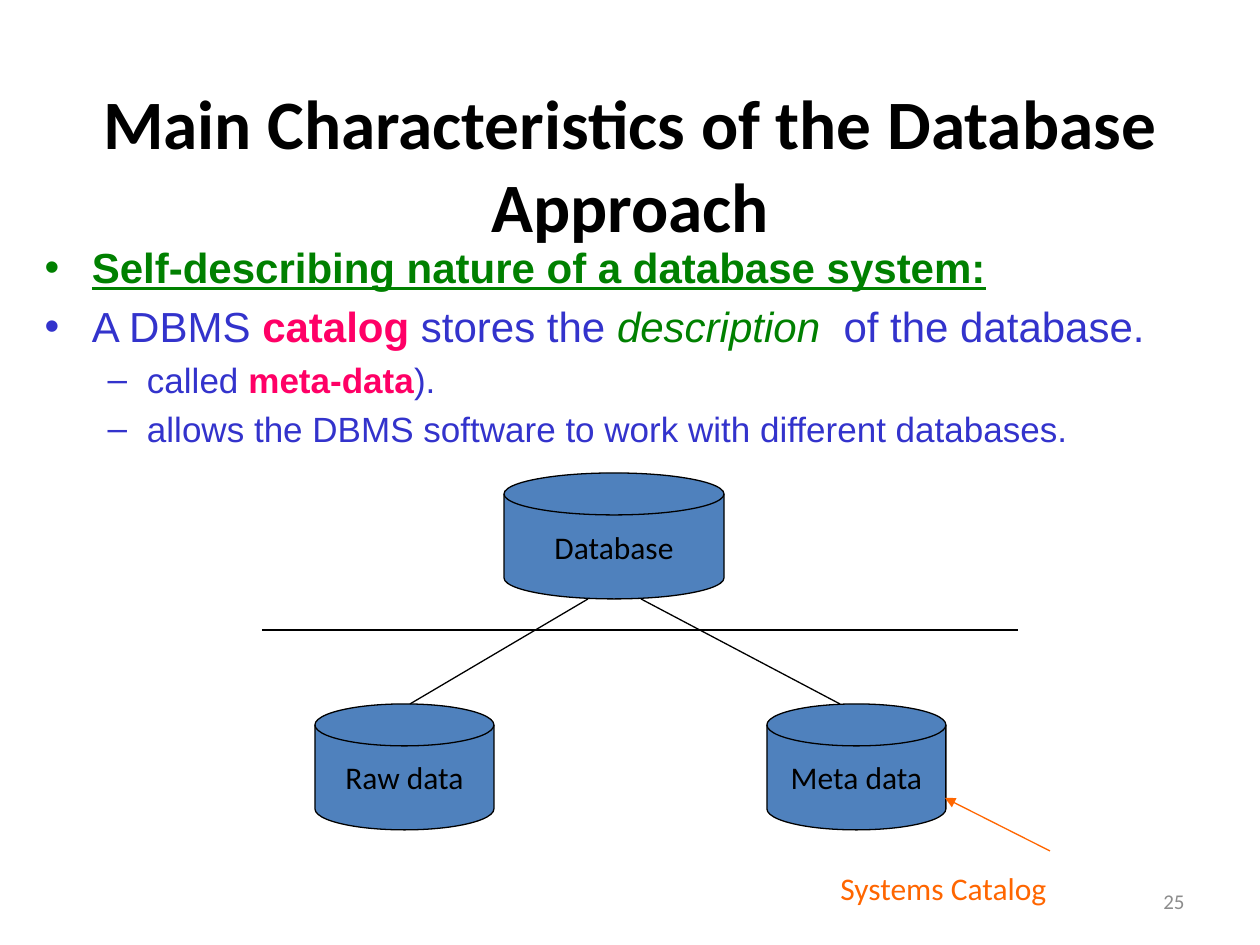
from lxml.etree import SubElement
from pptx import Presentation
from pptx.dml.color import RGBColor
from pptx.enum.shapes import MSO_CONNECTOR, MSO_SHAPE
from pptx.enum.text import MSO_ANCHOR, MSO_AUTO_SIZE, PP_ALIGN
from pptx.oxml.ns import qn
from pptx.util import Emu, Pt

PX = 914400 // 126

BLACK = RGBColor(0x00, 0x00, 0x00)
GREEN = RGBColor(0x00, 0x80, 0x00)
INDIGO = RGBColor(0x33, 0x33, 0xCC)
PINK = RGBColor(0xFF, 0x00, 0x66)
ORANGE = RGBColor(0xFF, 0x66, 0x00)
GRAY = RGBColor(0x8C, 0x8C, 0x8C)
DISK_BLUE = RGBColor(0x4F, 0x81, 0xBD)

TITLE = "Main Characteristics of the Database Approach"
TITLE_BOX = (63, 84, 1134, 158)

BULLETS_BOX = (32, 179, 1187, 665)
BULLETS_TOP_INSET = 63
LEVEL_SIZES = (24, 20)
# level, then runs of text, colour and font styles
BULLETS = [
    (0, [("Self-describing nature of a database system:", GREEN, ("bold", "underline"))]),
    (0, [("A DBMS ", INDIGO, ()),
         ("catalog ", PINK, ("bold",)),
         ("stores the ", INDIGO, ()),
         ("description  ", GREEN, ("italic",)),
         ("of the database.", INDIGO, ())]),
    (1, [("called ", INDIGO, ()),
         ("meta-data", PINK, ("bold",)),
         (").", INDIGO, ())]),
    (1, [("allows the DBMS software to work with different databases.", INDIGO, ())]),
]

DISK_HEIGHT = 126
# label, left, top, width
DISKS = [
    ("Database", 504, 473, 220),
    ("Raw data", 315, 704, 179),
    ("Meta data", 767, 704, 179),
]

# start, end, colour, whether an arrowhead sits at the end
LINES = [
    ((588, 599), (410, 704), BLACK, False),
    ((641, 599), (840, 704), BLACK, False),
    ((262, 630), (1018, 630), BLACK, False),
    ((1050, 851), (945, 798), ORANGE, True),
]

# text, box, size, colour, alignment, anchor
LABELS = [
    ("Systems Catalog", (828, 863, 307, 54), 18, ORANGE, PP_ALIGN.LEFT, MSO_ANCHOR.TOP),
    ("25", (903, 876, 294, 50), 12, GRAY, PP_ALIGN.RIGHT, MSO_ANCHOR.MIDDLE),
]


def px(*lengths):
    return [Emu(length * PX) for length in lengths]


def place(shape, box):
    shape.left, shape.top, shape.width, shape.height = px(*box)


def add_run(paragraph, text, size, color, font="Calibri", styles=()):
    run = paragraph.add_run()
    run.text = text
    run.font.name = font
    run.font.size = Pt(size)
    run.font.color.rgb = color
    for style in styles:
        setattr(run.font, style, True)


def fill_title(title):
    place(title, TITLE_BOX)
    frame = title.text_frame
    frame.auto_size = MSO_AUTO_SIZE.NONE
    frame.vertical_anchor = MSO_ANCHOR.MIDDLE
    frame.paragraphs[0].alignment = PP_ALIGN.CENTER
    add_run(frame.paragraphs[0], TITLE, 39.6, BLACK, styles=("bold",))


def fill_bullets(body):
    place(body, BULLETS_BOX)
    frame = body.text_frame
    frame.auto_size = MSO_AUTO_SIZE.NONE
    frame.margin_top = Emu(BULLETS_TOP_INSET * PX)
    for index, (level, runs) in enumerate(BULLETS):
        paragraph = frame.add_paragraph() if index else frame.paragraphs[0]
        paragraph.level = level
        for text, color, styles in runs:
            add_run(paragraph, text, LEVEL_SIZES[level], color, "Arial", styles)


def add_disk(shapes, label, left, top, width):
    disk = shapes.add_shape(MSO_SHAPE.FLOWCHART_MAGNETIC_DISK,
                            *px(left, top, width, DISK_HEIGHT))
    disk.shadow.inherit = False
    disk.fill.solid()
    disk.fill.fore_color.rgb = DISK_BLUE
    disk.line.color.rgb = BLACK
    disk.line.width = Pt(0.75)
    frame = disk.text_frame
    frame.word_wrap = False
    frame.vertical_anchor = MSO_ANCHOR.MIDDLE
    frame.paragraphs[0].alignment = PP_ALIGN.CENTER
    add_run(frame.paragraphs[0], label, 18, BLACK)


def add_line(shapes, start, end, color, has_arrowhead):
    line = shapes.add_connector(MSO_CONNECTOR.STRAIGHT, *px(*start, *end))
    line.line.color.rgb = color
    line.line.width = Pt(0.75)
    if has_arrowhead:
        SubElement(line.line._get_or_add_ln(), qn("a:tailEnd"), type="triangle")
    SubElement(line._element.spPr, qn("a:effectLst"))


def add_label(shapes, text, box, size, color, alignment, anchor):
    frame = shapes.add_textbox(*px(*box)).text_frame
    frame.word_wrap = True
    frame.vertical_anchor = anchor
    frame.paragraphs[0].alignment = alignment
    add_run(frame.paragraphs[0], text, size, color)


def main():
    deck = Presentation()
    deck.slide_width, deck.slide_height = px(1260, 945)
    title_and_content = deck.slide_layouts[1]
    slide = deck.slides.add_slide(title_and_content)
    fill_title(slide.shapes.title)
    fill_bullets(slide.placeholders[1])
    for disk in DISKS:
        add_disk(slide.shapes, *disk)
    for line in LINES:
        add_line(slide.shapes, *line)
    for label in LABELS:
        add_label(slide.shapes, *label)
    deck.save("out.pptx")


if __name__ == "__main__":
    main()
